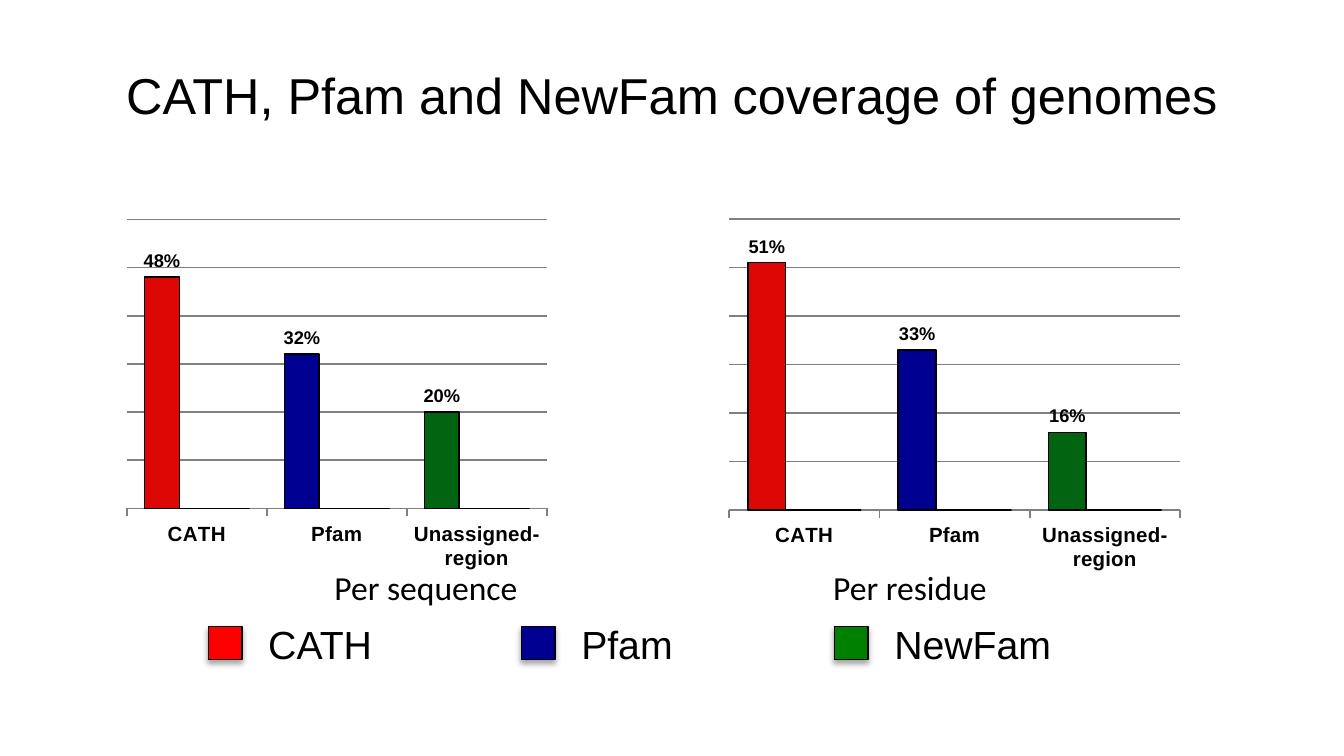
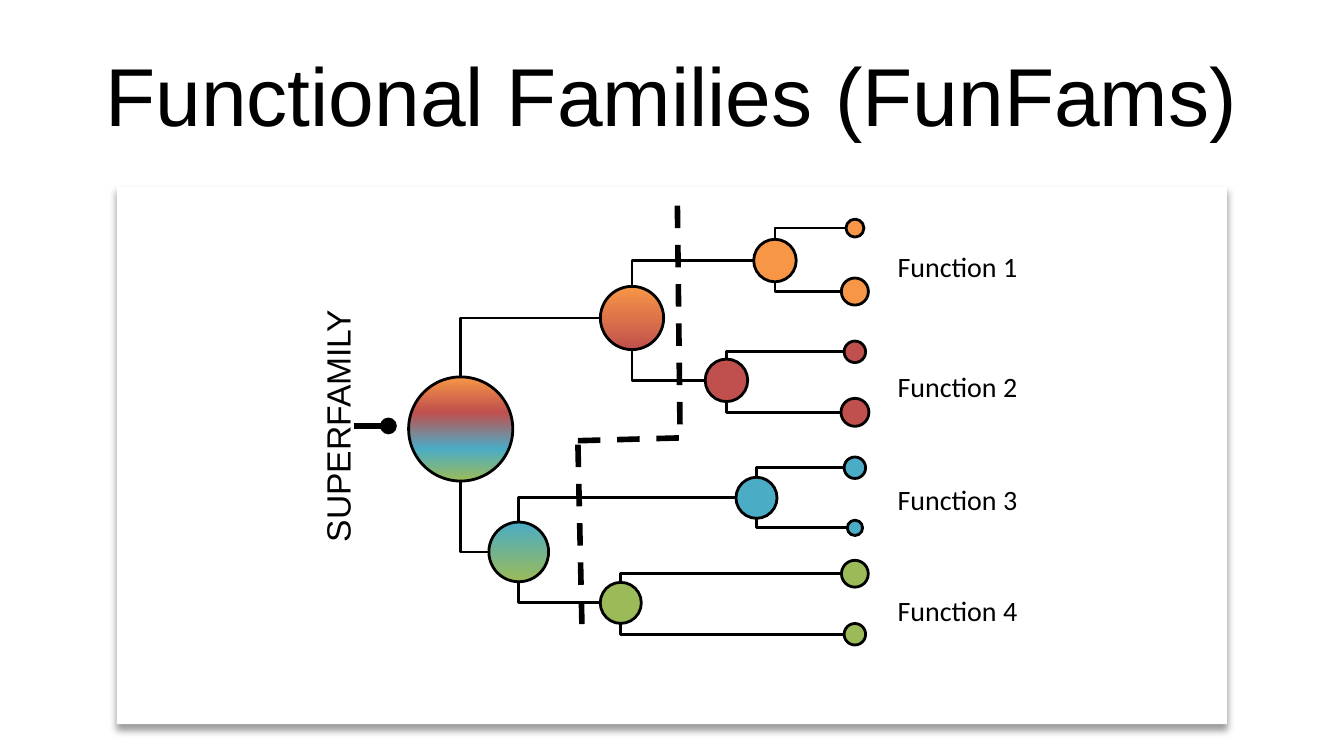
import dataclasses
import lxml.etree
import pptx
import pptx.chart.data
import pptx.dml.color
import pptx.enum.chart
import pptx.enum.dml
import pptx.enum.shapes
import pptx.enum.text
import pptx.oxml.ns
import pptx.util

Pt = pptx.util.Pt
qn = pptx.oxml.ns.qn
ALIGN = pptx.enum.text.PP_ALIGN
SHAPE = pptx.enum.shapes.MSO_SHAPE
LINK = pptx.enum.shapes.MSO_CONNECTOR


@dataclasses.dataclass(frozen=True)
class Theme:
    ink: str = "000000"
    paper: str = "FFFFFF"
    grid: str = "808080"
    red: str = "FF0000"
    navy: str = "000090"
    green: str = "008000"
    bars: tuple = ("DD0806", "000090", "006411")
    series: tuple = ("63AAFE", "DD2D32", "FFF58C")
    orange: str = "F79646"
    brick: str = "C0504D"
    teal: str = "4BACC6"
    lime: str = "9BBB59"
    sans: str = "Arial"
    body: str = "Calibri"
    serif: str = "Times New Roman"
    head: float = 27
    big: float = 44
    key: float = 21
    note: float = 18
    leaf: float = 15
    axis: float = 11
    label: float = 9.8
    base: float = 8.8
    thin: float = 0.75
    edge: float = 0.85
    branch: float = 1.5
    cut: float = 3


T = Theme()
TITLE = (36, 16.6, 648, 67.7)


def rgb(code):
    return pptx.dml.color.RGBColor.from_string(code)


def style(font, size, face, bold=None):
    font.size = Pt(size)
    font.name = face
    font.bold = bold
    font.color.rgb = rgb(T.ink)


def stroke(line, width, color=T.ink):
    line.color.rgb = rgb(color)
    line.width = Pt(width)


def node(parent, tag, **attrs):
    return lxml.etree.SubElement(parent, qn(tag), **{k: str(v) for k, v in attrs.items()})


def write(slide, box, words, size, face, align=ALIGN.LEFT, wrap=True, pad=(7.2, 3.6),
          anchor=pptx.enum.text.MSO_ANCHOR.TOP):
    shape = slide.shapes.add_textbox(*map(Pt, box))
    frame = shape.text_frame
    frame.word_wrap = wrap
    frame.vertical_anchor = anchor
    frame.margin_left = frame.margin_right = Pt(pad[0])
    frame.margin_top = frame.margin_bottom = Pt(pad[1])
    para = frame.paragraphs[0]
    para.text = words
    para.alignment = align
    style(para.font, size, face)
    return shape


def title(slide, box, words, size):
    write(slide, box, words, size, T.sans, ALIGN.CENTER,
          anchor=pptx.enum.text.MSO_ANCHOR.MIDDLE)


def solid(slide, kind, box, color, width=None):
    shape = slide.shapes.add_shape(kind, *map(Pt, box))
    shape.shadow.inherit = False
    shape.fill.solid()
    shape.fill.fore_color.rgb = rgb(color)
    if width:
        stroke(shape.line, width)
    else:
        shape.line.fill.background()
    return shape


def shade(shape, alpha, blur, dist):
    effect = shape._element.spPr.find(qn("a:effectLst"))
    outer = node(effect, "a:outerShdw", blurRad=int(Pt(blur)), dist=int(Pt(dist)),
                 dir=5400000, rotWithShape=0)
    color = node(outer, "a:srgbClr", val=T.ink)
    node(color, "a:alpha", val=alpha * 1000)


def blend(shape, stops):
    shape.fill.gradient()
    shape.fill.gradient_angle = 270
    bank = shape._element.spPr.find(".//" + qn("a:gsLst"))
    for stop in list(bank):
        bank.remove(stop)
    for place, color in stops:
        node(node(bank, "a:gs", pos=place * 1000), "a:srgbClr", val=color)


def wire(slide, ends, width, kind=LINK.STRAIGHT):
    line = slide.shapes.add_connector(kind, *map(Pt, ends))
    stroke(line.line, width)
    node(line._element.spPr, "a:effectLst")
    return line


def bars(slide, box, values, plot):
    data = pptx.chart.data.CategoryChartData(number_format="0%")
    data.categories = ["CATH", "Pfam", "Unassigned-region"]
    for num, row in enumerate((values, [None] * 3, [None] * 3), 1):
        data.add_series(f"Series {num}", row)
    kind = pptx.enum.chart.XL_CHART_TYPE.COLUMN_CLUSTERED
    chart = slide.shapes.add_chart(kind, *map(Pt, box), data).chart
    chart.has_legend = False
    chart.has_title = False
    style(chart.font, T.base, T.serif, True)

    group = chart.plots[0]
    group.gap_width = 100
    group.overlap = 0
    group.vary_by_categories = False
    for series, color in zip(group.series, T.series):
        series.format.fill.solid()
        series.format.fill.fore_color.rgb = rgb(color)
        stroke(series.format.line, T.edge)
    main = group.series[0]
    for num, color in enumerate(T.bars):
        form = main.points[num].format
        form.fill.solid()
        form.fill.fore_color.rgb = rgb(color)
        stroke(form.line, T.edge)
    labels = main.data_labels
    labels.show_value = True
    labels.number_format = "0%"
    labels.number_format_is_linked = False
    labels.position = pptx.enum.chart.XL_LABEL_POSITION.OUTSIDE_END
    style(labels.font, T.label, T.sans, True)

    mark = pptx.enum.chart.XL_TICK_MARK
    cats = chart.category_axis
    cats.major_tick_mark = mark.OUTSIDE
    cats.minor_tick_mark = mark.NONE
    stroke(cats.format.line, T.edge, T.grid)
    style(cats.tick_labels.font, T.axis, T.sans, True)
    turn = cats._element.find(qn("c:txPr")).find(qn("a:bodyPr"))
    turn.set("rot", "0")
    turn.set("vert", "horz")
    vals = chart.value_axis
    vals.minimum_scale, vals.maximum_scale, vals.major_unit = 0, 0.6, 0.1
    vals.has_major_gridlines = True
    stroke(vals.major_gridlines.format.line, T.edge, T.grid)
    vals.visible = False

    root = chart._chartSpace.chart
    area = root.plotArea
    old = area.find(qn("c:layout"))
    if old is not None:
        area.remove(old)
    layout = lxml.etree.Element(qn("c:layout"))
    area.insert(0, layout)
    manual = node(layout, "c:manualLayout")
    node(manual, "c:layoutTarget", val="inner")
    for tag in ("xMode", "yMode"):
        node(manual, "c:" + tag, val="edge")
    for tag, part in zip("xywh", plot):
        node(manual, "c:" + tag, val=part)
    root.find(qn("c:dispBlanksAs")).set("val", "zero")


def legend(slide, box):
    left, top, step, high = box
    keys = (("CATH", T.red), ("Pfam", T.navy), ("NewFam", T.green))
    for num, (words, color) in enumerate(keys):
        x = left + num * step
        write(slide, (x + 25, top, 123, high), words, T.key, T.sans)
        chip = solid(slide, SHAPE.RECTANGLE, (x, top + 6.5, 18, 18), color, T.thin)
        shade(chip, 35, 3.1, 1.8)


def cover(slide):
    title(slide, TITLE, "CATH, Pfam and NewFam coverage of genomes", T.head)
    bars(slide, (390.2, 108, 301.7, 205.9), (0.51, 0.33, 0.16), (0, 0.045, 0.802, 0.758))
    bars(slide, (9.4, 110.2, 298.8, 203.8), (0.48, 0.32, 0.2), (0.196, 0.036, 0.753, 0.76))
    for x, words in ((174.2, "Per sequence"), (441.4, "Per residue")):
        write(slide, (x, 301, 266.4, 27.4), words, T.note, T.body, pad=(5, 2.9))
    legend(slide, (111.6, 329, 167.7, 32.4))


def ball(slide, x, y, size, color):
    return solid(slide, SHAPE.OVAL, (x - size / 2, y - size / 2, size, size),
                 color, T.branch)


def join(slide, parent, child):
    line = wire(slide, (0, 0, 0, 0), T.branch, LINK.ELBOW)
    down = child.top + child.height / 2 > parent.top + parent.height / 2
    line.begin_connect(child, 1)
    line.end_connect(parent, 2 if down else 0)
    line._element.spPr.find(qn("a:prstGeom")).set("prst", "bentConnector2")
    ends = line._element.nvCxnSpPr.cNvCxnSpPr
    ends.find(qn("a:stCxn")).set("idx", "2")
    ends.find(qn("a:endCxn")).set("idx", "4" if down else "0")


def tree(slide, box):
    left, top = box[:2]
    cuts = ((247, 136.1, 301.7, 134.6), (300.3, 10.2, 301.7, 129), (247, 138.2, 249.2, 236.2))
    for a, b, c, d in cuts:
        line = wire(slide, (left + a, top + b, left + c, top + d), T.cut)
        line.line.dash_style = pptx.enum.dml.MSO_LINE.DASH

    root = ball(slide, left + 184.2, top + 129.8, 55.8, T.orange)
    blend(root, ((0, T.orange), (34, T.brick), (69, T.teal), (100, T.lime)))
    upper = ball(slide, left + 276, top + 70.4, 33.9, T.orange)
    blend(upper, ((0, T.orange), (100, T.brick)))
    lower = ball(slide, left + 215.3, top + 195.7, 32, T.teal)
    blend(lower, ((0, T.teal), (100, T.lime)))
    for child in (upper, lower):
        join(slide, root, child)

    fams = (
        (upper, T.orange, 352.6, 39.6, 22.8, 30.3, ((22.2, 9.6), (56.2, 14.5))),
        (upper, T.brick, 326.6, 103.8, 22.8, 94.4, ((88.5, 11.5), (120.9, 15))),
        (lower, T.teal, 342.7, 166.7, 22, 154.9, ((150.6, 11.5), (182.8, 8.2))),
        (lower, T.lime, 270, 223, 22, 214.6, ((207.4, 14.4), (239.8, 11.5))),
    )
    for num, (parent, color, x, y, size, high, tips) in enumerate(fams, 1):
        fam = ball(slide, left + x, top + y, size, color)
        join(slide, parent, fam)
        for tip, width in tips:
            join(slide, fam, ball(slide, left + 395.4, top + tip, width, color))
        write(slide, (left + 411.2, top + high, 79.2, 25.2), f"Function {num}",
              T.leaf, T.body, wrap=False)

    name = write(slide, (left + 47.6, top + 113.8, 141.1, 28.8), "SUPERFAMILY",
                 T.note, T.sans, ALIGN.CENTER, False)
    name.rotation = 270
    stem = wire(slide, (left + 126.8, top + 128.2, left + 145.5, top + 128.2), T.cut)
    node(stem._element.spPr.find(qn("a:ln")), "a:tailEnd", type="oval")


def family(slide):
    panel = (62.6, 100, 594.7, 288)
    shade(solid(slide, SHAPE.RECTANGLE, panel, T.paper), 40, 4, 3)
    title(slide, TITLE, "Functional Families (FunFams)", T.big)
    tree(slide, panel)


def main():
    deck = pptx.Presentation()
    deck.slide_width, deck.slide_height = Pt(720), Pt(405)
    for build in (cover, family):
        build(deck.slides.add_slide(deck.slide_layouts[6]))
    deck.save("out.pptx")


if __name__ == "__main__":
    main()
